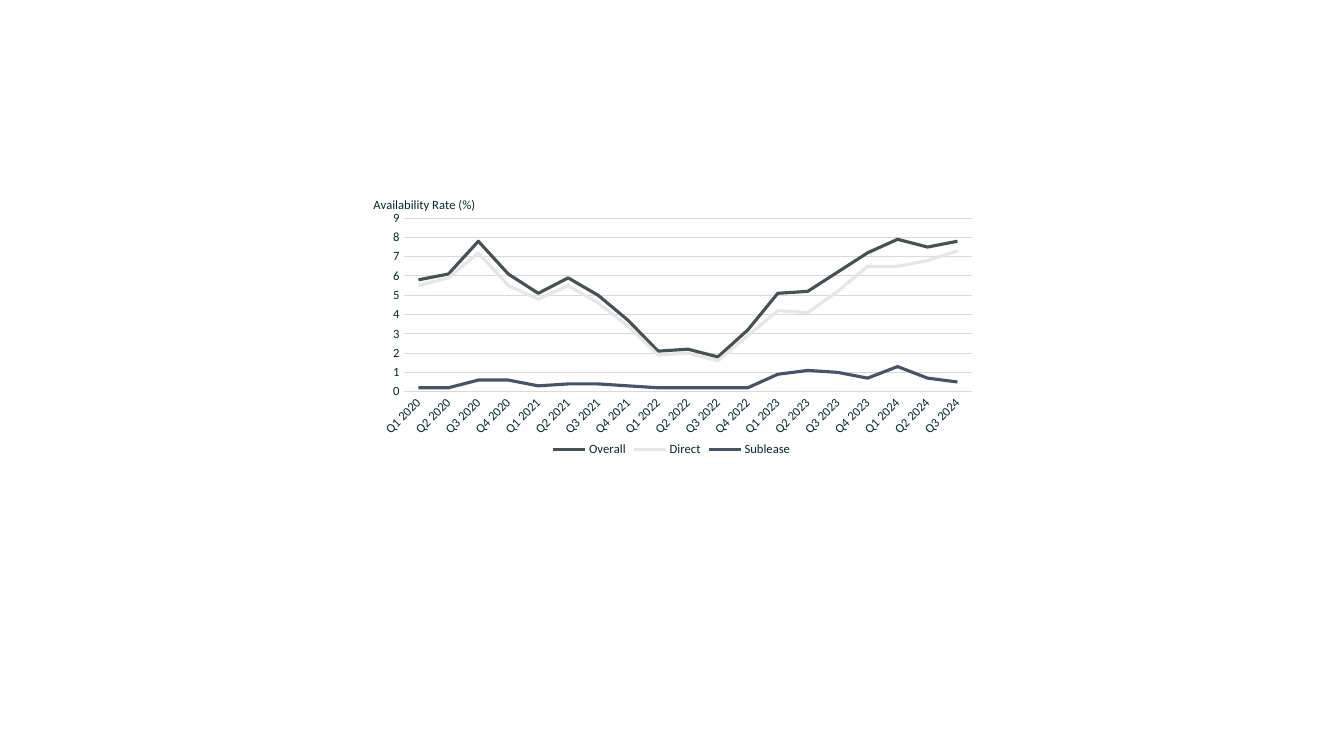
from lxml import etree
from pptx import Presentation
from pptx.chart.data import CategoryChartData
from pptx.dml.color import RGBColor
from pptx.enum.chart import XL_CHART_TYPE, XL_LEGEND_POSITION, XL_MARKER_STYLE, XL_TICK_MARK
from pptx.oxml.ns import qn
from pptx.util import Inches, Pt

LINE = XL_CHART_TYPE.LINE
BOTTOM = XL_LEGEND_POSITION.BOTTOM
NO_MARKER = XL_MARKER_STYLE.NONE
NO_TICK = XL_TICK_MARK.NONE

TEXT = RGBColor(0x01, 0x2A, 0x2D)
GRID = RGBColor(0xD9, 0xD9, 0xD9)
RATES = {
    "Overall": (RGBColor(0x43, 0x52, 0x54),
                [5.8, 6.1, 7.8, 6.1, 5.1, 5.9, 5, 3.7, 2.1, 2.2,
                 1.8, 3.2, 5.1, 5.2, 6.2, 7.2, 7.9, 7.5, 7.8]),
    "Direct": (RGBColor(0xE7, 0xE6, 0xE6),
               [5.5, 5.9, 7.2, 5.5, 4.8, 5.5, 4.6, 3.4, 1.9, 2,
                1.6, 2.9, 4.2, 4.1, 5.2, 6.5, 6.5, 6.8, 7.3]),
    "Sublease": (RGBColor(0x44, 0x54, 0x6A),
                 [0.2, 0.2, 0.6, 0.6, 0.3, 0.4, 0.4, 0.3, 0.2, 0.2,
                  0.2, 0.2, 0.9, 1.1, 1, 0.7, 1.3, 0.7, 0.5]),
}


def set_layout(parent, index, **values):
    """Place a chart part by fractions of the chart area."""
    for old in parent.findall(qn("c:layout")):
        parent.remove(old)
    layout = etree.Element(qn("c:layout"))
    parent.insert(index, layout)
    manual = etree.SubElement(layout, qn("c:manualLayout"))
    for tag, value in values.items():
        etree.SubElement(manual, qn(f"c:{tag}")).set("val", str(value))


def set_font(font):
    font.name = "Calibri"
    font.size = Pt(9)
    font.bold = False
    font.color.rgb = TEXT


prs = Presentation()
prs.slide_width, prs.slide_height = Inches(13.33), Inches(7.5)
s = prs.slides.add_slide(prs.slide_layouts[6])

data = CategoryChartData()
quarters = [f"Q{q} {year}" for year in range(2020, 2025) for q in range(1, 5)]
data.categories = quarters[:19]
for name, (color, values) in RATES.items():
    data.add_series(name, values)
chart = s.shapes.add_chart(LINE, Inches(3.68), Inches(1.9),
                           Inches(5.97), Inches(2.67), data).chart
set_font(chart.font)
chart.has_title = False
chart.has_legend = True
chart.legend.position = BOTTOM
chart.legend.include_in_layout = False
set_font(chart.legend.font)

plot = chart.plots[0]
plot.vary_by_categories = False
for series in plot.series:
    series.smooth = False
    series.marker.style = NO_MARKER
    series.format.line.width = Pt(2.25)
    series.format.line.color.rgb = RATES[series.name][0]

quarter_axis, rate_axis = chart.category_axis, chart.value_axis
for axis in (quarter_axis, rate_axis):
    axis.major_tick_mark = NO_TICK
    axis.minor_tick_mark = NO_TICK
    set_font(axis.tick_labels.font)
rate_axis.minimum_scale, rate_axis.maximum_scale, rate_axis.major_unit = 0, 9, 1
rate_axis.format.line.fill.background()
for line in (quarter_axis.format.line, rate_axis.major_gridlines.format.line):
    line.color.rgb = GRID
    line.width = Pt(0.75)

title = rate_axis.axis_title
p = title.text_frame.paragraphs[0]
r = p.add_run()
r.text = "Availability Rate (%)"
set_font(r.font)

# Level axis title, slanted quarter labels
title_xml = title._element
labels_xml = quarter_axis._element.find(qn("c:txPr"))
for xml, angle in ((title_xml, 0), (labels_xml, -45)):
    body = next(xml.iter(qn("a:bodyPr")))
    body.set("rot", str(angle * 60000))
    body.set("vert", "horz")

set_layout(title_xml, 1, xMode="edge", yMode="edge", x=0, y=0.01)
set_layout(chart._chartSpace.chart.plotArea, 0, layoutTarget="inner",
           xMode="edge", yMode="edge", x=0.054, y=0.099, w=0.946, h=0.645)

prs.save("out.pptx")
